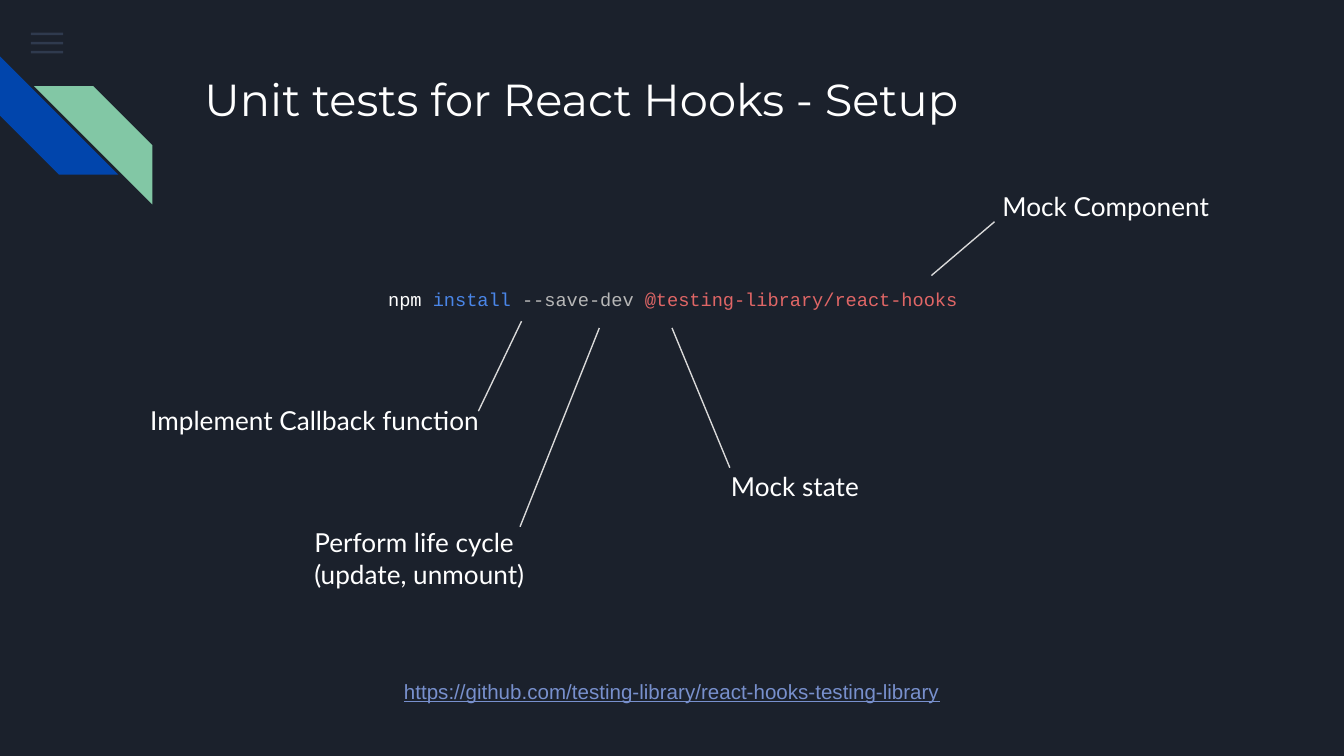
"""Build the slide on setting up unit tests for React Hooks."""
from lxml import etree
from pptx import Presentation
from pptx.dml.color import RGBColor
from pptx.enum.shapes import MSO_CONNECTOR, MSO_SHAPE
from pptx.enum.text import MSO_ANCHOR, MSO_AUTO_SIZE, PP_ALIGN
from pptx.oxml.ns import qn
from pptx.util import Pt

STRAIGHT = MSO_CONNECTOR.STRAIGHT
RECTANGLE, STRIPE = MSO_SHAPE.RECTANGLE, MSO_SHAPE.DIAGONAL_STRIPE
LEFT, CENTER = PP_ALIGN.LEFT, PP_ALIGN.CENTER
TOP, NO_FIT = MSO_ANCHOR.TOP, MSO_AUTO_SIZE.NONE

COLORS = {
    "background": "1B212C", "white": "FFFFFF", "menu": "55688B",
    "blue stripe": "0145AC", "green stripe": "82C7A5", "pointer": "D9D9D9",
    "install": "4A86E8", "flag": "B7B7B7", "library": "E06666", "link": "7890CD",
}
TITLE = "Unit tests for React Hooks - Setup"
COMMAND = [("npm", "white"), (" install ", "install"), ("--save-dev ", "flag"),
           ("@testing-library/react-hooks", "library")]
LINK = "https://github.com/testing-library/react-hooks-testing-library"
LABELS = [
    (["Mock Component"], 529.9, 95, 126.7),
    (["Implement Callback function"], 73.4, 209.5, 195.8),
    (["Mock state"], 384.5, 244.8, 82.8),
    (["Perform life cycle", "(update, unmount)"], 161.3, 275, 130.3),
]
POINTERS = [
    (499, 147.6, 532.8, 118.8),
    (279.4, 172.1, 256.3, 220.3),
    (360, 175.7, 391, 250.6),
    (321.1, 175.7, 278.6, 282.2),
]
STRIPES = [("blue stripe", 0, 30.2, 270), ("green stripe", 18.2, 46.1, 90)]
STRIPE_SIZE = 63.4
MENU_LEFT, MENU_TOP, MENU_STEP, MENU_BARS = 16.6, 17.5, 4.9, 3
BAR_WIDTH, BAR_HEIGHT, BAR_ALPHA = 17.3, 1.4, "36000"
LABEL_HEIGHT, INSET = 36.7, 7.2


def color(name):
    """Return the named colour."""
    return RGBColor.from_string(COLORS[name])


def write(box, paragraphs, size, font, align=LEFT, spacing=None, underline=None):
    """Fill a box with paragraphs given as lists of (text, colour name)."""
    frame = box.text_frame
    frame.word_wrap, frame.auto_size, frame.vertical_anchor = True, NO_FIT, TOP
    frame.margin_left = frame.margin_right = Pt(INSET)
    frame.margin_top = frame.margin_bottom = Pt(INSET)
    for number, spans in enumerate(paragraphs):
        para = frame.add_paragraph() if number else frame.paragraphs[0]
        para.alignment, para.line_spacing = align, spacing
        for text, name in spans:
            span = para.add_run()
            span.text = text
            span.font.size, span.font.name = Pt(size), font
            span.font.underline = underline
            span.font.color.rgb = color(name)


def add_box(page, left, top, width, height):
    """Add a text box measured in points."""
    return page.shapes.add_textbox(Pt(left), Pt(top), Pt(width), Pt(height))


def add_filled(page, kind, name, left, top, width, height):
    """Add a preset shape with a plain fill and no outline."""
    shape = page.shapes.add_shape(kind, Pt(left), Pt(top), Pt(width), Pt(height))
    shape.shadow.inherit = False
    shape.fill.solid()
    shape.fill.fore_color.rgb = color(name)
    shape.line.fill.background()
    return shape


def add_pointer(page, *ends):
    """Add a thin line between two points."""
    line = page.shapes.add_connector(STRAIGHT, *map(Pt, ends))
    line.line.color.rgb = color("pointer")
    line.line.width = Pt(0.75)
    etree.SubElement(line._element.spPr, qn("a:effectLst"))


def main():
    """Lay out the slide and save it."""
    deck = Presentation()
    deck.slide_width, deck.slide_height = Pt(720), Pt(405)
    page = deck.slides.add_slide(deck.slide_layouts[5])
    page.background.fill.solid()
    page.background.fill.fore_color.rgb = color("background")

    for number in range(MENU_BARS):
        bar = add_filled(page, RECTANGLE, "menu", MENU_LEFT,
                         MENU_TOP + number * MENU_STEP, BAR_WIDTH, BAR_HEIGHT)
        tint = bar._element.spPr.find(".//" + qn("a:srgbClr"))
        etree.SubElement(tint, qn("a:alpha"), val=BAR_ALPHA)
    for name, left, top, rotation in STRIPES:
        stripe = add_filled(page, STRIPE, name, left, top, STRIPE_SIZE, STRIPE_SIZE)
        stripe.rotation = rotation

    title = page.shapes.title
    title.left, title.top, title.width, title.height = map(Pt, (102.3, 31, 554.4, 72))
    write(title, [[(TITLE, "white")]], 24, "Montserrat")

    write(add_box(page, 179.3, 141.8, 362.2, 33.8), [COMMAND], 10, "Courier New",
          align=CENTER, spacing=1.45)
    write(add_box(page, 201.6, 356.4, 316.8, LABEL_HEIGHT), [[(LINK, "link")]], 11,
          "Arial", align=CENTER, underline=True)

    for lines, left, top, width in LABELS:
        write(add_box(page, left, top, width, LABEL_HEIGHT),
              [[(text, "white")] for text in lines], 14, "Lato")
    for ends in POINTERS:
        add_pointer(page, *ends)
    deck.save("out.pptx")


if __name__ == "__main__":
    main()
